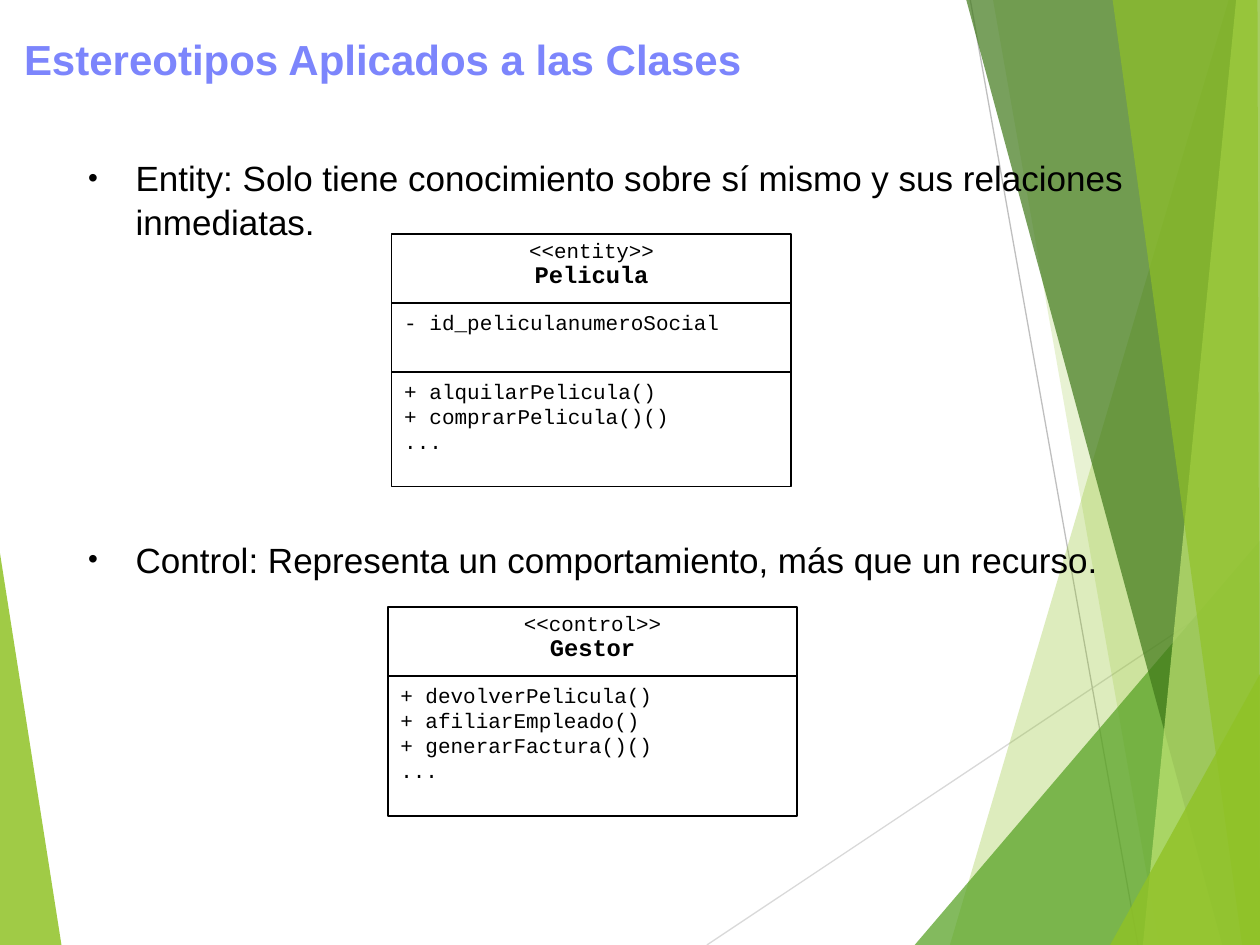
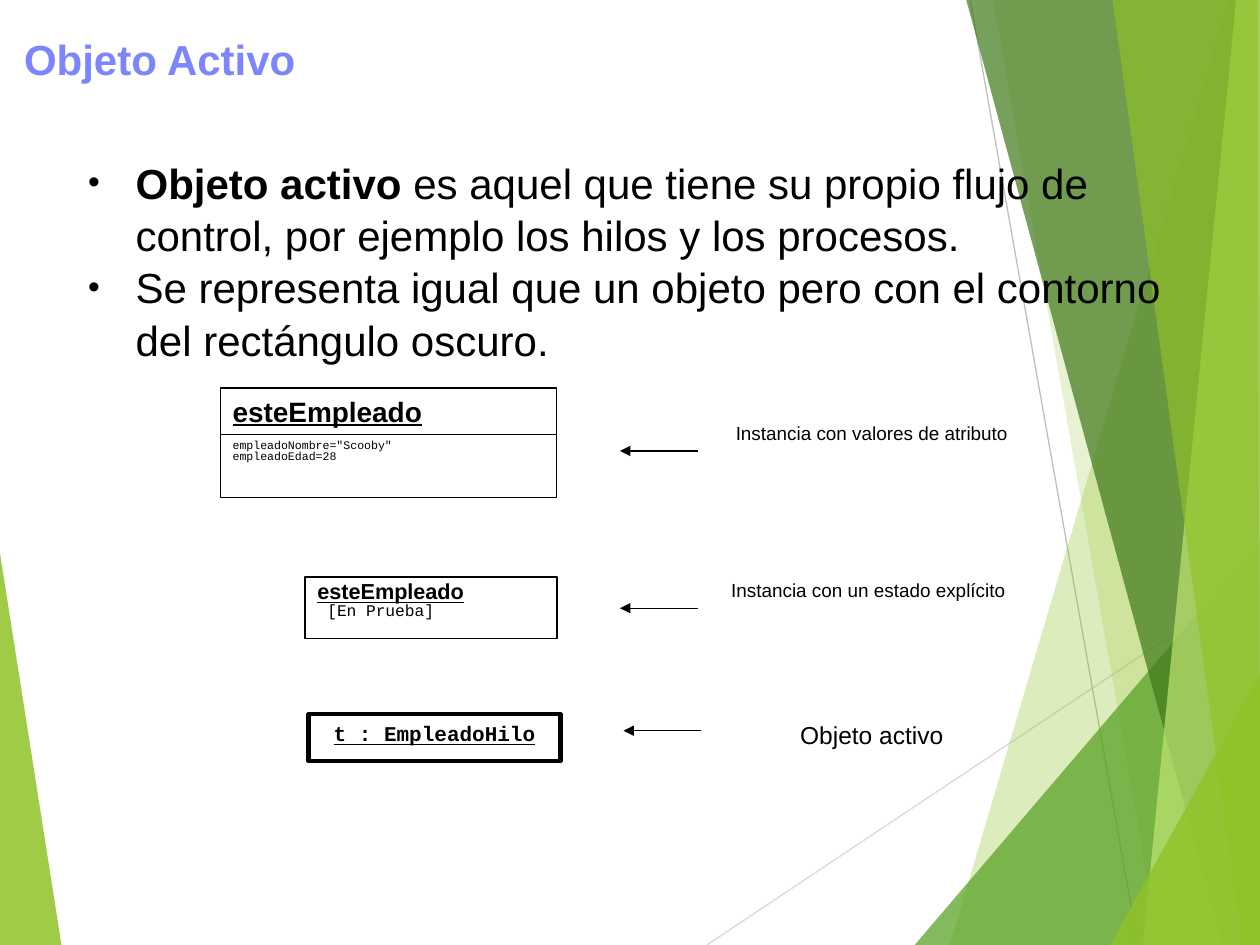
import pptx
import pptx.dml.color
import pptx.enum.shapes
import pptx.enum.text
import pptx.oxml
import pptx.oxml.ns
import pptx.util
from lxml import etree

Cm, Pt = pptx.util.Cm, pptx.util.Pt
qn = pptx.oxml.ns.qn
ALIGN = pptx.enum.text.PP_ALIGN
ANCHOR = pptx.enum.text.MSO_ANCHOR
WIDE, HIGH = 25.4, 19.05
MONO = "Courier New"
BLACK, LILAC, LIME = "000000", "7C85FC", "90C226"
SHARDS = [
    (LIME, 30, [(24.77, 0), (19.15, HIGH), (WIDE, HIGH), (WIDE, 0)]),
    (LIME, 20, [(20.02, 0), (23.37, HIGH), (WIDE, HIGH), (WIDE, 0)]),
    ("54A021", 72, [(18.44, HIGH), (WIDE, 10.9), (WIDE, HIGH)]),
    ("3F7819", 70, [(19.48, 0), (24.64, HIGH), (WIDE, HIGH), (WIDE, 0)]),
    ("C0E474", 70, [(24.92, 0), (23.04, HIGH), (WIDE, HIGH), (WIDE, 0)]),
    (LIME, 65, [(22.43, 0), (25.04, HIGH), (WIDE, HIGH), (25.35, 0)]),
    (LIME, 80, [(22.38, HIGH), (WIDE, 13.59), (WIDE, HIGH)]),
]


def rgb(code):
    """Return the colour for a hex string."""
    return pptx.dml.color.RGBColor.from_string(code)


def put(frame, text, size, font="Arial", hue=BLACK, bold=False, under=False,
        align=ALIGN.LEFT, space=1, gap=0, indent=0, lead="", dot=False):
    """Add one formatted paragraph, with an optional bold lead and bullet."""
    para = frame.add_paragraph() if frame.text else frame.paragraphs[0]
    props = para._p.get_or_add_pPr()
    if dot:
        props.set("marL", str(Cm(0.96)))
        props.set("indent", str(-Cm(0.96)))
        tint = etree.SubElement(props, qn("a:buClr"))
        etree.SubElement(tint, qn("a:srgbClr"), val=BLACK)
        etree.SubElement(props, qn("a:buSzPct"), val="80000")
        etree.SubElement(props, qn("a:buFont"), typeface="Arial")
        etree.SubElement(props, qn("a:buChar"), char="•")
    elif indent:
        props.set("marL", str(Cm(indent)))
    para.alignment, para.line_spacing = align, space
    para.space_before = Pt(gap)
    for part, heavy in ((lead, True), (text, bold)):
        if part:
            run = para.add_run()
            run.text = part
            run.font.size, run.font.name = Pt(size), font
            run.font.bold, run.font.underline = heavy, under
            run.font.color.rgb = rgb(hue)


def line(shapes, start, end, hue=BLACK, head=False):
    """Draw a thin straight line, with an arrowhead if asked."""
    kind = pptx.enum.shapes.MSO_CONNECTOR.STRAIGHT
    link = shapes.add_connector(kind, *map(Cm, start + end))
    link.line.color.rgb = rgb(hue)
    link.line.width = Pt(0.75)
    props = link.element.spPr
    etree.SubElement(props, qn("a:effectLst"))
    if head:
        etree.SubElement(props.find(qn("a:ln")), qn("a:tailEnd"), type="triangle")
    return link


def shard(shapes, hue, alpha, points):
    """Draw a translucent polygon."""
    spots = [(Cm(x), Cm(y)) for x, y in points]
    pen = shapes.build_freeform(*spots[0], scale=1.0)
    pen.add_line_segments(spots[1:], close=True)
    form = pen.convert_to_shape()
    form.shadow.inherit = False
    form.fill.solid()
    form.fill.fore_color.rgb = rgb(hue)
    form.line.fill.background()
    tint = form.element.spPr.find(qn("a:solidFill"))[0]
    etree.SubElement(tint, qn("a:alpha"), val=str(alpha * 1000))
    return form


def place(item, x, y, wide, high):
    """Set the position and size of an item."""
    item.left, item.top, item.width, item.height = map(Cm, (x, y, wide, high))


def theme(layout, slide):
    """Give the layout its green band and its title and body boxes."""
    shapes = slide.shapes
    band = [shard(shapes, LIME, 85, [(0, 11.15), (1.24, HIGH), (0, HIGH)]),
            line(shapes, (14.25, HIGH), (WIDE, 11.62), "D9D9D9"),
            line(shapes, (19.56, 0), (22.94, HIGH), "BFBFBF")]
    band += [shard(shapes, *row) for row in SHARDS]
    for spot, part in enumerate(band):
        part.element.xpath("./*/p:cNvPr")[0].set("id", str(100 + spot))
        layout.shapes.element.insert(2 + spot, part.element)
    title, body = list(layout.placeholders)[:2]
    place(title, 0.23, 0.23, 24.89, 1.6)
    place(body, 1.52, 3, 22.35, 13.67)
    for item, anchor in ((title, ANCHOR.BOTTOM), (body, ANCHOR.TOP)):
        item.text_frame.vertical_anchor = anchor
        item.text_frame.auto_size = pptx.enum.text.MSO_AUTO_SIZE.NONE


def page(slide, title, items, size):
    """Fill the title and the bullets, given as lead, text and gap."""
    put(slide.shapes.title.text_frame, title, 24, hue=LILAC, bold=True, space=0.9)
    frame = slide.placeholders[1].text_frame
    for lead, text, gap in items:
        put(frame, text, size, lead=lead, gap=gap, space=1.04, dot=True)


def card(slide, x, y, wide, parts, width=0.75):
    """Stack outlined boxes, each given as height and paragraphs."""
    for high, rows in parts:
        kind = pptx.enum.shapes.MSO_SHAPE.RECTANGLE
        box = slide.shapes.add_shape(kind, *map(Cm, (x, y, wide, high)))
        box.shadow.inherit = False
        box.fill.background()
        box.line.color.rgb = rgb(BLACK)
        box.line.width = Pt(width)
        frame = box.text_frame
        frame.word_wrap, frame.vertical_anchor = True, ANCHOR.TOP
        for text, look in rows:
            put(frame, text, **look)
        y += high


def model(slide, x, y, wide, kind, name, lists):
    """Draw a class with its stereotype and lists of members."""
    top = dict(font=MONO, align=ALIGN.CENTER, space=0.9)
    head = [(f"<<{kind}>>", dict(top, size=11.9)),
            (name, dict(top, size=13.6, bold=True))]
    parts = [(1.39, head)]
    for high, names in lists:
        parts.append((high, [(text, dict(size=12, font=MONO)) for text in names]))
    card(slide, x, y, wide, parts)


def note(slide, x, y, text, size, space, tip, drop):
    """Write a caption with an arrow that points left from it."""
    box = slide.shapes.add_textbox(*map(Cm, (x, y, 6.35, 1.25)))
    box.text_frame.word_wrap = True
    put(box.text_frame, text, size, align=ALIGN.CENTER, space=space)
    line(slide.shapes, (tip + 1.57, y + drop), (tip, y + drop), head=True)


def types(slide):
    """Build the slide on class stereotypes."""
    page(slide, "Estereotipos Aplicados a las Clases", [
        ("", "Entity: Solo tiene conocimiento sobre sí mismo y sus relaciones inmediatas.", 0),
        ("", "Control: Representa un comportamiento, más que un recurso.", 168)], 20)
    model(slide, 7.9, 4.72, 8.05, "entity", "Pelicula", [
        (1.39, ["- id_peliculanumeroSocial"]),
        (2.31, ["+ alquilarPelicula()", "+ comprarPelicula()()", "..."])])
    model(slide, 7.82, 12.24, 8.25, "control", "Gestor", [
        (2.82, ["+ devolverPelicula()", "+ afiliarEmpleado()",
                "+ generarFactura()()", "..."])])


def active(slide):
    """Build the slide on active objects."""
    page(slide, "Objeto Activo", [
        ("Objeto activo", " es aquel que tiene su propio flujo de control, "
         "por ejemplo los hilos y los procesos.", 0),
        ("", "Se representa igual que un objeto pero con el contorno "
         "del rectángulo oscuro.", 0)], 24)
    name = dict(bold=True, under=True)
    small = dict(size=6.6, font=MONO, space=0.8)
    card(slide, 4.44, 7.82, 6.78, [
        (0.94, [("esteEmpleado", dict(name, size=16))]),
        (1.27, [('empleadoNombre="Scooby"', small), ("empleadoEdad=28", small)])])
    card(slide, 6.15, 11.63, 5.08, [
        (1.24, [("esteEmpleado", dict(name, size=12.4, space=0.8)),
                ("[En Prueba]", dict(size=9.3, font=MONO, space=0.8, indent=0.2))])])
    card(slide, 6.22, 14.4, 5.08, [
        (0.94, [("t : EmpleadoHilo",
                 dict(name, size=12, font=MONO, align=ALIGN.CENTER))])], 2.5)
    note(slide, 14.4, 8.46, "Instancia con valores de atributo", 10.8, 0.8, 12.5, 0.63)
    note(slide, 14.33, 11.63, "Instancia con un estado explícito", 10.8, 0.8, 12.5, 0.63)
    note(slide, 14.4, 14.4, "Objeto activo", 14, 1, 12.57, 0.33)


def main():
    """Build and save the slides."""
    deck = pptx.Presentation()
    deck.slide_width, deck.slide_height = Cm(WIDE), Cm(HIGH)
    layout = deck.slide_layouts[1]
    first, second = [deck.slides.add_slide(layout) for _ in range(2)]
    theme(layout, first)
    types(first)
    active(second)
    deck.save("out.pptx")


if __name__ == "__main__":
    main()
